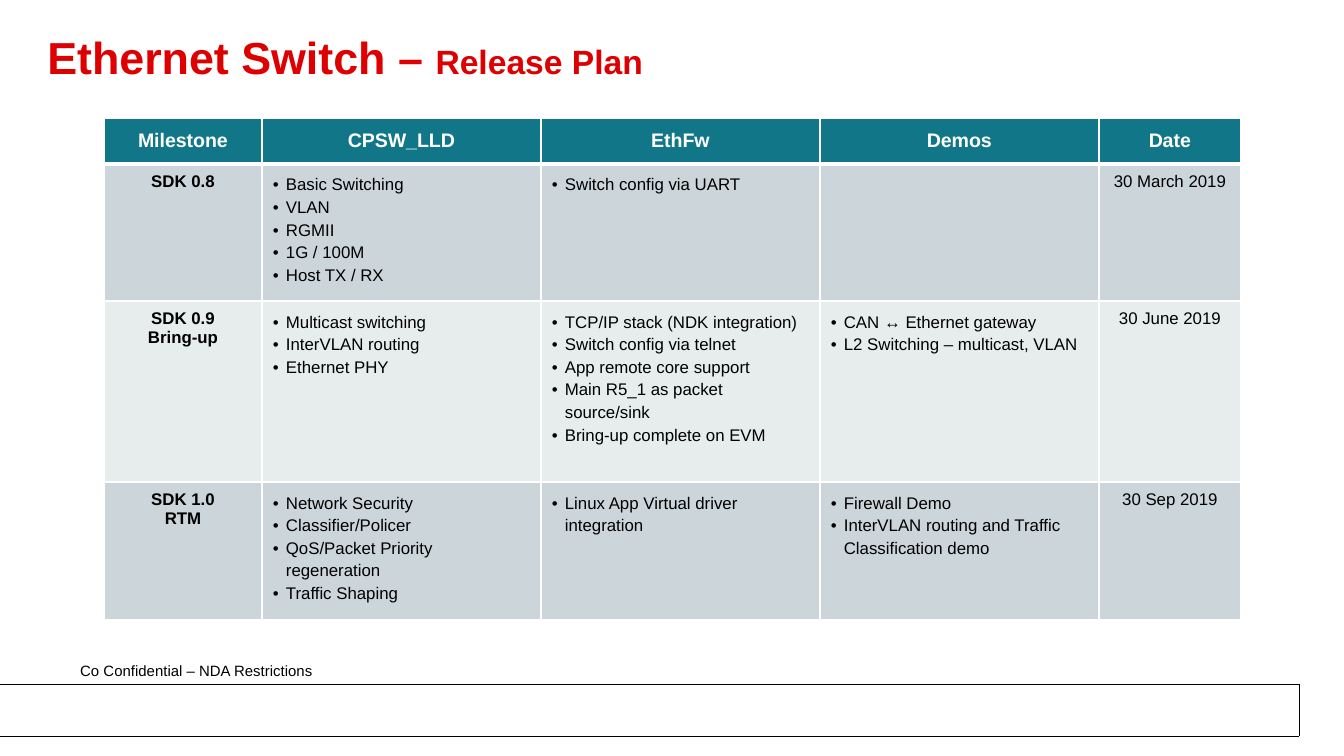
"""Build the Ethernet switch release plan slide."""
from lxml.etree import SubElement
from pptx import Presentation
from pptx.dml.color import RGBColor
from pptx.enum.shapes import MSO_CONNECTOR, MSO_SHAPE
from pptx.enum.text import MSO_ANCHOR, PP_ALIGN
from pptx.oxml.ns import qn
from pptx.util import Emu, Pt

EMU_PER_PX = 9144000 / 1344
COLORS = {"white": "FFFFFF", "black": "000000", "red": "DE0000",
          "teal": "117788", "band_dark": "CCD6DA", "band_light": "E7ECED"}
COLUMNS = [158, 279, 279, 279, 142]
ROWS = [46, 129, 181, 128]
HEADERS = ["Milestone", "CPSW_LLD", "EthFw", "Demos", "Date"]
MILESTONES = [
    (["SDK 0.8"],
     ["Basic Switching", "VLAN", "RGMII", "1G / 100M", "Host TX / RX"],
     ["Switch config via UART"],
     [],
     ["30 March 2019"]),
    (["SDK 0.9", "Bring-up"],
     ["Multicast switching", "InterVLAN routing", "Ethernet PHY"],
     ["TCP/IP stack (NDK integration)", "Switch config via telnet",
      "App remote core support", "Main R5_1 as packet source/sink",
      "Bring-up complete on EVM"],
     ["CAN ↔ Ethernet gateway", "L2 Switching – multicast, VLAN"],
     ["30 June 2019"]),
    (["SDK 1.0", "RTM"],
     ["Network Security", "Classifier/Policer",
      "QoS/Packet Priority regeneration", "Traffic Shaping"],
     ["Linux App Virtual driver integration"],
     ["Firewall Demo", "InterVLAN routing and Traffic Classification demo"],
     ["30 Sep 2019"]),
]


def px(n):
    return Emu(round(n * EMU_PER_PX))


def rgb(name):
    return RGBColor.from_string(COLORS[name])


class Deck:
    """Holds the font, the presentation and the current slide."""

    def __init__(self, width, height, font):
        self.prs = Presentation()
        self.prs.slide_width, self.prs.slide_height = px(width), px(height)
        self.s = self.prs.slides.add_slide(self.prs.slide_layouts[6])
        self.font = font

    def rect(self, x, y, w, h, fill):
        sp = self.s.shapes.add_shape(MSO_SHAPE.RECTANGLE, px(x), px(y), px(w), px(h))
        sp.shadow.inherit = False
        sp.fill.solid()
        sp.fill.fore_color.rgb = rgb(fill)
        sp.line.fill.background()

    def line(self, x1, y1, x2, y2, color="black", width=0.25):
        sp = self.s.shapes.add_connector(
            MSO_CONNECTOR.STRAIGHT, px(x1), px(y1), px(x2), px(y2))
        sp.line.color.rgb = rgb(color)
        sp.line.width = Pt(width)
        SubElement(sp._element.spPr, qn("a:effectLst"))

    def run(self, p, text, size, color="black", bold=False):
        r = p.add_run()
        r.text = text
        r.font.color.rgb = rgb(color)
        for name, value in {"name": self.font, "size": Pt(size), "bold": bold}.items():
            setattr(r.font, name, value)

    def text(self, x, y, w, h, runs, anchor=MSO_ANCHOR.TOP, spacing=1.0):
        tf = self.s.shapes.add_textbox(px(x), px(y), px(w), px(h)).text_frame
        tf.word_wrap = True
        tf.vertical_anchor = anchor
        p = tf.paragraphs[0]
        p.line_spacing = spacing
        for text, style in runs:
            self.run(p, text, **style)

    def bullet(self, p, indent=13):
        pPr = p._p.get_or_add_pPr()
        pPr.set("marL", str(px(indent)))
        pPr.set("indent", str(-px(indent)))
        SubElement(pPr, qn("a:buFont"), typeface=self.font)
        SubElement(pPr, qn("a:buChar"), char="•")
        p.line_spacing = 1.2

    def borders(self, cell, top=1, bottom=1):
        tcPr = cell._tc.get_or_add_tcPr()
        for side, width in {"L": 1, "R": 1, "T": top, "B": bottom}.items():
            ln = SubElement(tcPr, qn(f"a:ln{side}"), w=str(Pt(width)))
            fill = SubElement(ln, qn("a:solidFill"))
            SubElement(fill, qn("a:srgbClr"), val=COLORS["white"])

    def cell(self, cell, lines, fill, style, bullets=False, format=None, **edges):
        self.borders(cell, **edges)
        cell.fill.solid()
        cell.fill.fore_color.rgb = rgb(fill)
        for name, value in (format or {}).items():
            setattr(cell, name, value)
        tf = cell.text_frame
        for i, text in enumerate(lines):
            p = tf.add_paragraph() if i else tf.paragraphs[0]
            if bullets:
                self.bullet(p)
            else:
                p.alignment = PP_ALIGN.CENTER
            self.run(p, text, **style)

    def table(self, x, y, columns, rows):
        table = self.s.shapes.add_table(
            len(rows), len(columns), px(x), px(y), px(sum(columns)), px(sum(rows))).table
        for column, width in zip(table.columns, columns):
            column.width = px(width)
        for row, height in zip(table.rows, rows):
            row.height = px(height)
        return table


def main():
    deck = Deck(1344, 756, "Arial")
    deck.rect(7, 698, 1285, 51, "white")
    deck.rect(0, 684, 1299, 52, "white")
    for y in (736, 684):
        deck.line(0, y, 1299, y)
    deck.line(1299, 736, 1299, 684)
    deck.text(67, 655, 372, 32, [("Co Confidential – NDA Restrictions", {"size": 8})])
    title = {"color": "red", "bold": True}
    deck.text(34, 16, 1243, 90,
              [("Ethernet Switch – ", {"size": 24, **title}),
               ("Release Plan", {"size": 18, **title})],
              MSO_ANCHOR.MIDDLE, 0.85)

    table = deck.table(104, 118, COLUMNS, ROWS)
    for c, header in enumerate(HEADERS):
        deck.cell(table.cell(0, c), [header], "teal",
                  {"size": 10.5, "color": "white", "bold": True},
                  format={"vertical_anchor": MSO_ANCHOR.MIDDLE}, bottom=3)
    body = {"margin_left": px(11), "margin_right": px(11),
            "margin_top": px(8), "margin_bottom": px(8)}
    for r, milestone in enumerate(MILESTONES, 1):
        for c, lines in enumerate(milestone):
            deck.cell(table.cell(r, c), lines, "band_dark" if r % 2 else "band_light",
                      {"size": 9, "bold": c == 0}, bullets=c in (1, 2, 3),
                      format=body, top=3 if r == 1 else 1)
    deck.prs.save("out.pptx")


if __name__ == "__main__":
    main()
